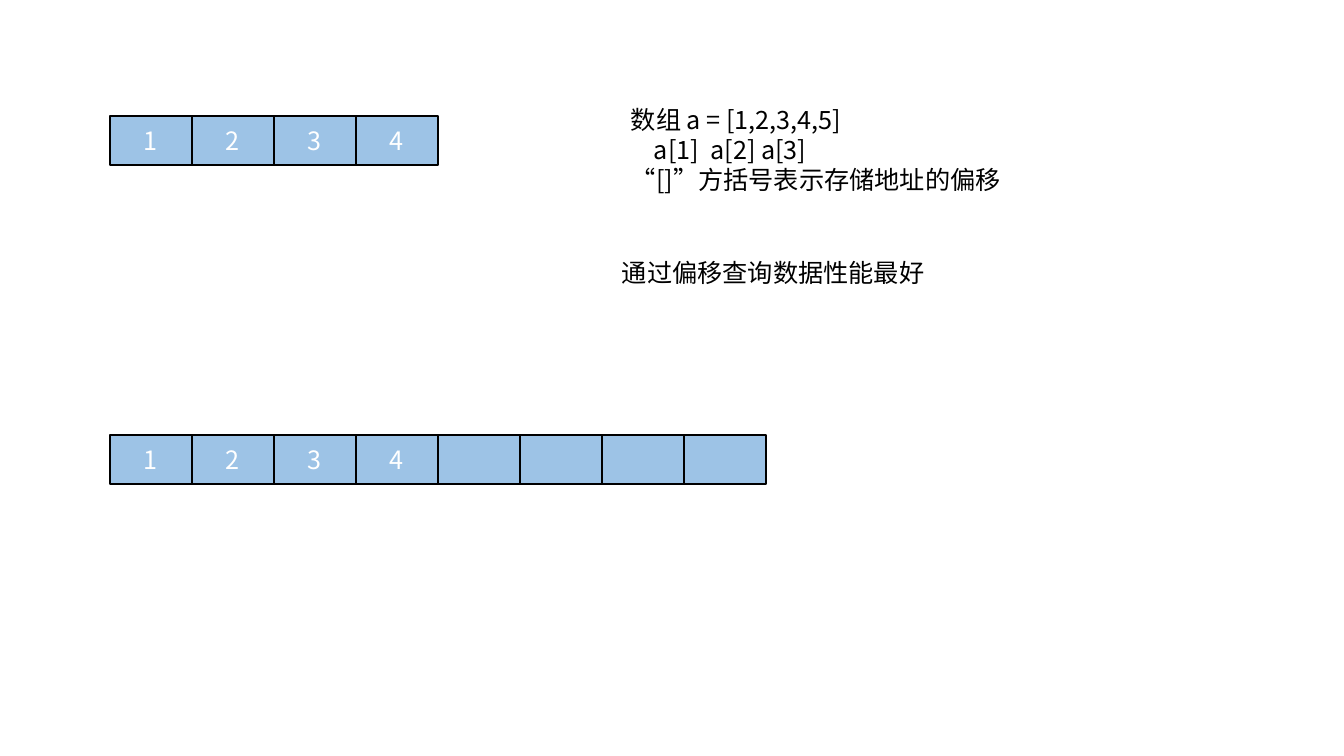
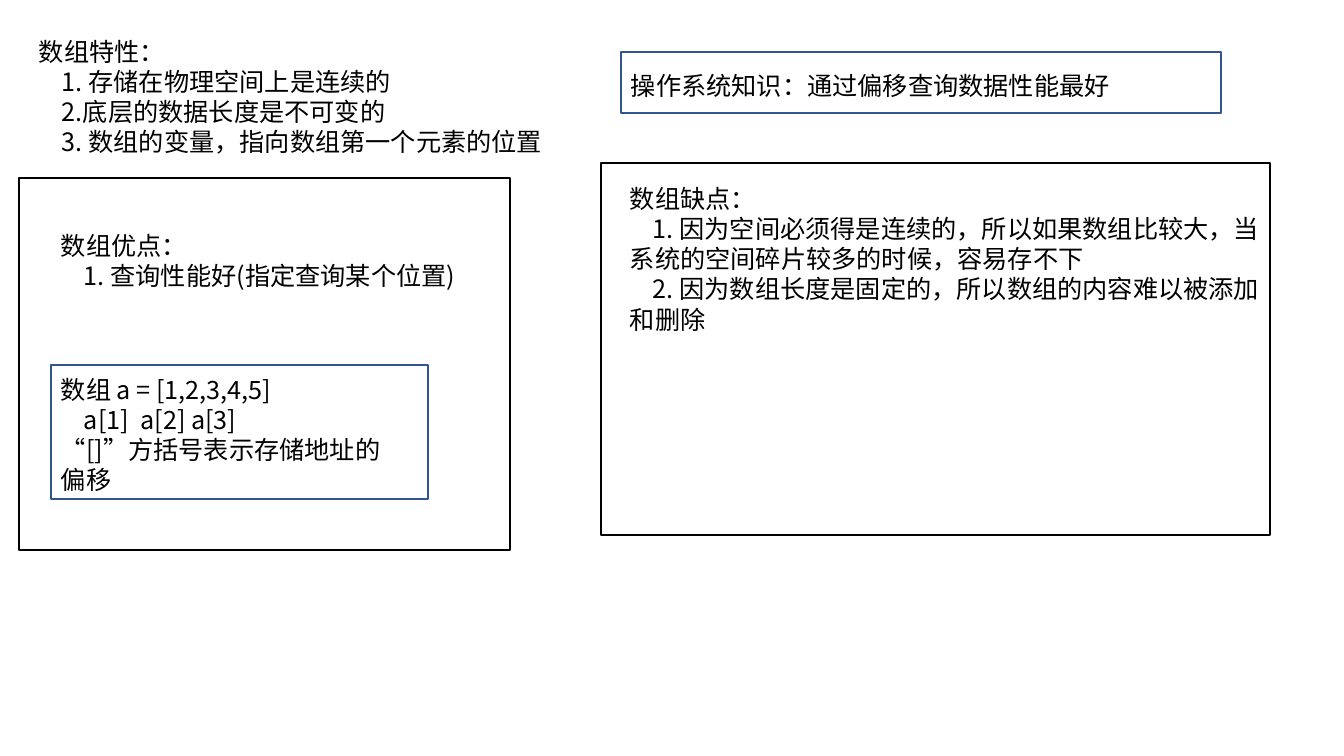
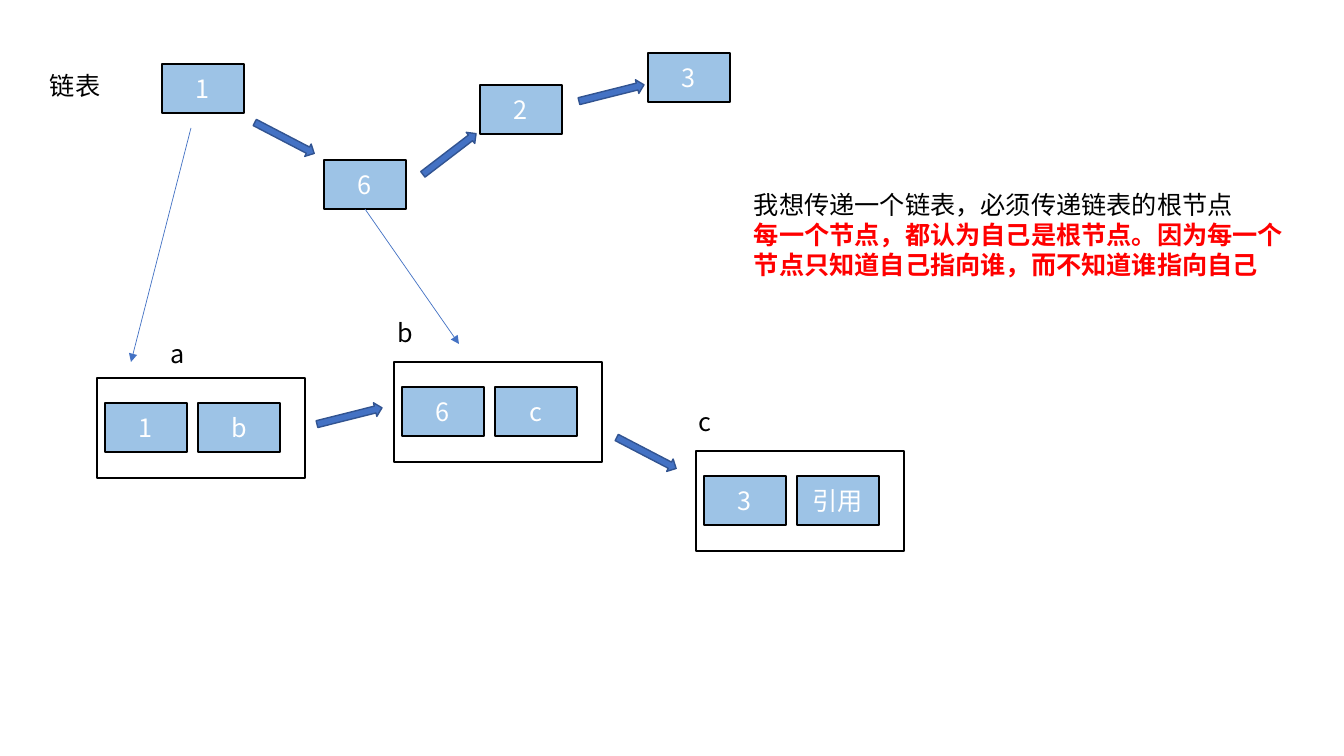
from typing import NamedTuple

from lxml.etree import SubElement
from pptx import Presentation
from pptx.dml.color import RGBColor
from pptx.enum.shapes import MSO_CONNECTOR, MSO_SHAPE
from pptx.enum.text import MSO_ANCHOR, MSO_AUTO_SIZE, PP_ALIGN
from pptx.oxml.ns import qn
from pptx.util import Pt

SLIDE_WIDTH, SLIDE_HEIGHT = 1344, 756
SCALE = 12192000 / SLIDE_WIDTH

FONT = "Noto Sans CJK SC"
BLACK = RGBColor(0x00, 0x00, 0x00)
WHITE = RGBColor(0xFF, 0xFF, 0xFF)
RED = RGBColor(0xFF, 0x00, 0x00)
LIGHT_BLUE = RGBColor(0x9D, 0xC3, 0xE6)
BLUE = RGBColor(0x44, 0x72, 0xC4)
DARK_BLUE = RGBColor(0x32, 0x54, 0x91)

CELL_WIDTH, CELL_HEIGHT = 82, 49
NODE_WIDTH, NODE_HEIGHT = 208, 100
NODE_PADDING_X, NODE_PADDING_Y = 8, 25
NODE_CELL_PITCH = 93
ARROW_WIDTH, ARROW_HEIGHT = 67, 14
INDENT = 23


class Line(NamedTuple):
    text: str
    indent: int = 0
    color: RGBColor = BLACK
    bold: bool = False


ARRAY_EXAMPLE = [
    Line("数组 a = [1,2,3,4,5]"),
    Line("a[1]  a[2] a[3]", INDENT),
    Line("“[]”方括号表示存储地址的偏移"),
]


def px(length):
    return round(length * SCALE)


def write_line(paragraph, line):
    if line.indent:
        properties = paragraph._p.get_or_add_pPr()
        properties.set("marL", "0")
        properties.set("indent", str(px(line.indent)))
    run = paragraph.add_run()
    run.text = line.text
    formats = {"name": FONT, "size": Pt(18), "bold": line.bold}
    for name, value in formats.items():
        setattr(run.font, name, value)
    run.font.color.rgb = line.color
    run_properties = run._r.get_or_add_rPr()
    run_properties.set("lang", "zh-CN")
    run_properties.set("altLang", "en-US")
    SubElement(run_properties, qn("a:ea")).set("typeface", FONT)


def add_text(slide, left, top, width, height, lines):
    box = slide.shapes.add_textbox(px(left), px(top), px(width), px(height))
    frame = box.text_frame
    frame.word_wrap = True
    frame.auto_size = MSO_AUTO_SIZE.SHAPE_TO_FIT_TEXT
    for index, line in enumerate(lines):
        paragraph = frame.add_paragraph() if index else frame.paragraphs[0]
        write_line(paragraph, line)


def add_preset(shapes, preset, left, top, width, height, fill, line_color, line_width):
    shape = shapes.add_shape(preset, px(left), px(top), px(width), px(height))
    shape.shadow.inherit = False
    if fill is None:
        shape.fill.background()
    else:
        shape.fill.solid()
        shape.fill.fore_color.rgb = fill
    shape.line.color.rgb = line_color
    shape.line.width = Pt(line_width)
    return shape


def add_frame(shapes, left, top, width, height, line_color=BLACK, line_width=1):
    add_preset(shapes, MSO_SHAPE.RECTANGLE, left, top, width, height,
               None, line_color, line_width)


def add_cell(shapes, left, top, text=""):
    cell = add_preset(shapes, MSO_SHAPE.RECTANGLE, left, top, CELL_WIDTH, CELL_HEIGHT,
                      LIGHT_BLUE, BLACK, 1.5)
    if text:
        cell.text_frame.vertical_anchor = MSO_ANCHOR.MIDDLE
        paragraph = cell.text_frame.paragraphs[0]
        paragraph.alignment = PP_ALIGN.CENTER
        write_line(paragraph, Line(text, color=WHITE))
    return cell


def add_cells(shapes, left, top, texts, pitch=CELL_WIDTH):
    for index, text in enumerate(texts):
        add_cell(shapes, left + index * pitch, top, text)


def add_node(slide, left, top, value, reference):
    group = slide.shapes.add_group_shape()
    add_cells(group.shapes, left + NODE_PADDING_X, top + NODE_PADDING_Y,
              [value, reference], NODE_CELL_PITCH)
    add_frame(group.shapes, left, top, NODE_WIDTH, NODE_HEIGHT, line_width=1.5)


def add_block_arrow(slide, left, top, rotation):
    arrow = add_preset(slide.shapes, MSO_SHAPE.RIGHT_ARROW, left, top,
                       ARROW_WIDTH, ARROW_HEIGHT, BLUE, DARK_BLUE, 1)
    arrow.rotation = rotation


def add_thin_arrow(slide, start, end):
    connector = slide.shapes.add_connector(
        MSO_CONNECTOR.STRAIGHT, *(px(value) for value in (*start, *end)))
    connector.line.color.rgb = BLUE
    connector.line.width = Pt(0.5)
    SubElement(connector.get_or_add_ln(), qn("a:tailEnd")).set("type", "triangle")
    SubElement(connector.element.spPr, qn("a:effectLst"))
    return connector


def build_array_storage(slide):
    add_cells(slide.shapes, 110, 116, ["1", "2", "3", "4"])
    add_cells(slide.shapes, 110, 435, ["1", "2", "3", "4", "", "", "", ""])
    add_text(slide, 621, 99, 570, 102, ARRAY_EXAMPLE)
    add_text(slide, 612, 252, 570, 40, [Line("通过偏移查询数据性能最好")])


def build_array_traits(slide):
    add_text(slide, 29, 31, 570, 132, [
        Line("数组特性："),
        Line("1. 存储在物理空间上是连续的", INDENT),
        Line("2.底层的数据长度是不可变的", INDENT),
        Line("3. 数组的变量，指向数组第一个元素的位置", INDENT),
    ])
    add_text(slide, 51, 225, 420, 72, [
        Line("数组优点："),
        Line("1. 查询性能好(指定查询某个位置)", INDENT),
    ])
    add_text(slide, 51, 369, 361, 102, ARRAY_EXAMPLE)
    add_frame(slide.shapes, 51, 365, 377, 134, DARK_BLUE)
    add_text(slide, 621, 65, 570, 40, [Line("操作系统知识：通过偏移查询数据性能最好")])
    add_frame(slide.shapes, 621, 52, 600, 61, DARK_BLUE)
    add_text(slide, 620, 178, 651, 163, [
        Line("数组缺点："),
        Line("1. 因为空间必须得是连续的，所以如果数组比较大，"
             "当系统的空间碎片较多的时候，容易存不下", INDENT),
        Line("2. 因为数组长度是固定的，所以数组的内容难以被添加和删除", INDENT),
    ])
    add_frame(slide.shapes, 19, 178, 491, 372)
    add_frame(slide.shapes, 601, 163, 669, 372)


def build_linked_list(slide):
    add_text(slide, 40, 65, 115, 40, [Line("链表")])
    add_cell(slide.shapes, 162, 64, "1")
    second_cell = add_cell(slide.shapes, 324, 160, "6")
    add_cell(slide.shapes, 480, 85, "2")
    add_cell(slide.shapes, 648, 53, "3")
    for left, top, rotation in [
        (251, 131, 27.5), (416, 147, 322.6), (578, 86, 345.9),
        (316, 409, 345.9), (613, 446, 27.5),
    ]:
        add_block_arrow(slide, left, top, rotation)

    add_thin_arrow(slide, (191, 128), (131, 362))
    second_link = add_thin_arrow(slide, (365, 209), (459, 344))
    second_link.begin_connect(second_cell, 2)

    for left, top, value, reference in [
        (97, 378, "1", "b"), (394, 362, "6", "c"), (696, 451, "3", "引用"),
    ]:
        add_node(slide, left, top, value, reference)
    for left, top, width, name in [
        (161, 333, 30, "a"), (388, 312, 54, "b"), (689, 401, 54, "c"),
    ]:
        add_text(slide, left, top, width, 40, [Line(name)])
    add_text(slide, 744, 184, 566, 102, [
        Line("我想传递一个链表，必须传递链表的根节点"),
        Line("每一个节点，都认为自己是根节点。因为每一个节点只知道自己指向谁，"
             "而不知道谁指向自己", color=RED, bold=True),
    ])


def main():
    presentation = Presentation()
    presentation.slide_width = px(SLIDE_WIDTH)
    presentation.slide_height = px(SLIDE_HEIGHT)
    blank_layout = presentation.slide_layouts[6]
    for build in (build_array_storage, build_array_traits, build_linked_list):
        build(presentation.slides.add_slide(blank_layout))
    presentation.save("out.pptx")


if __name__ == "__main__":
    main()
